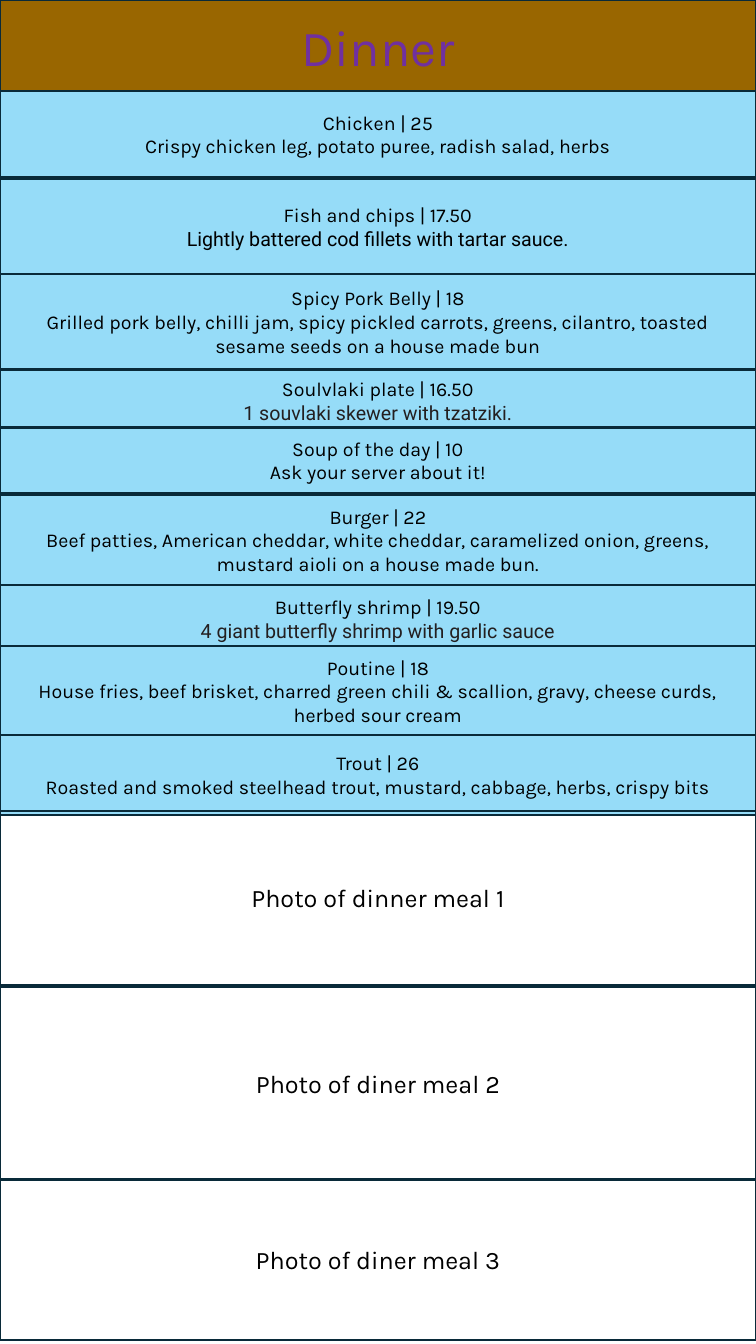
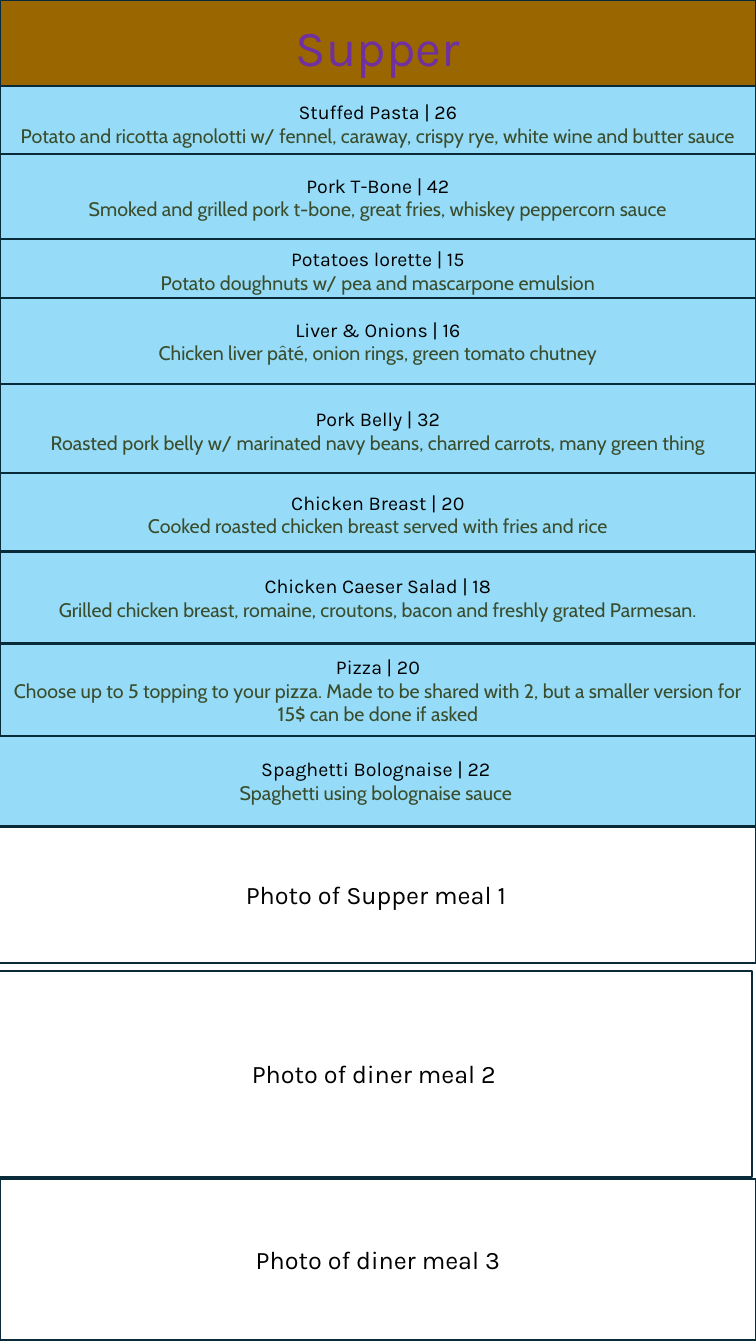
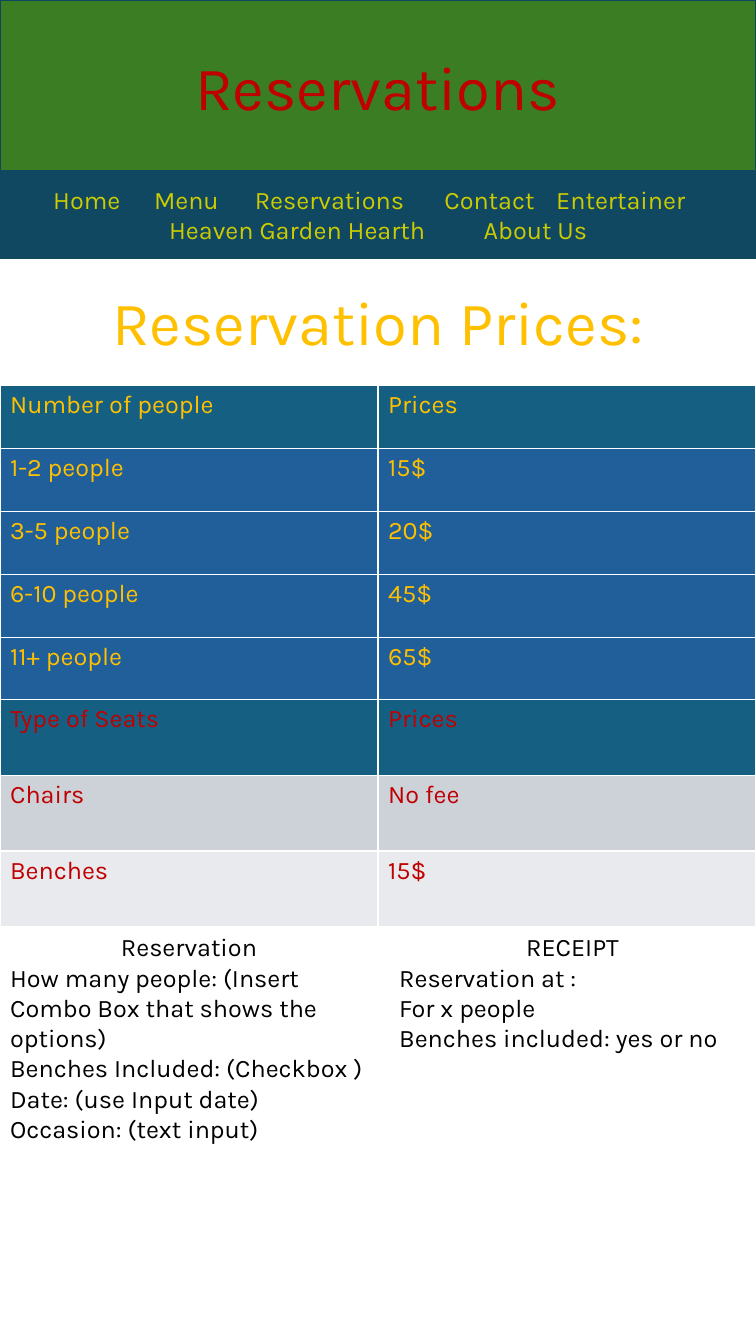
import collections

import pptx
import pptx.dml.color
import pptx.enum.shapes
import pptx.enum.text
import pptx.oxml
import pptx.oxml.ns
import pptx.util

Inches = pptx.util.Inches
ALIGN = pptx.enum.text.PP_ALIGN
ANCHOR = pptx.enum.text.MSO_ANCHOR

PAGE_WIDTH, PAGE_HEIGHT = 7.5, 13.33
TITLE_ONLY, TWO_CONTENT = 5, 3
BLACK, PURPLE, RED, GOLD, LIME = "000000", "7030A0", "C00000", "FFC000", "CCCC00"
BROWN, SKY, GREEN, NAVY = "996600", "96DCF8", "3B7D23", "104862"
MENU_LINE, HEADER_LINE = "092A39", "104760"
TABLE_HEAD, PRICE_FILL, CHAIR_FILL, BENCH_FILL = "156082", "215F9A", "CCD2D8", "E8EAED"

Box = collections.namedtuple("Box", "left top width height")

PLAIN = {}
ROBOTO = {"font": "Roboto"}
ROBOTO_GREY = {"font": "Roboto", "color": "231F20"}
CABIN = {"font": "Cabin", "color": "3A4D2D"}


def band(top, height, left=0, right=PAGE_WIDTH):
    """Box that spans the page unless its sides are given."""
    return Box(left, top, right - left, height)


DINNER_DISHES = [
    (band(0.9, 0.86), "Chicken | 25",
     "Crispy chicken leg, potato puree, radish salad, herbs", PLAIN),
    (band(1.78, 0.94), "Fish and chips | 17.50",
     "Lightly battered cod fillets with tartar sauce.", ROBOTO),
    (band(2.72, 0.94), "Spicy Pork Belly | 18",
     "Grilled pork belly, chilli jam, spicy pickled carrots, greens, cilantro, "
     "toasted sesame seeds on a house made bun", PLAIN),
    (band(3.67, 0.61), "Soulvlaki plate | 16.50",
     "1 souvlaki skewer with tzatziki.", ROBOTO_GREY),
    (band(4.24, 0.65), "Soup of the day | 10", "Ask your server about it!", PLAIN),
    (band(4.91, 0.89), "Burger | 22",
     "Beef patties, American cheddar, white cheddar, caramelized onion, greens, "
     "mustard aioli on a house made bun.", PLAIN),
    (band(5.8, 0.67), "Butterfly shrimp | 19.50",
     "4 giant butterfly shrimp with garlic sauce", ROBOTO_GREY),
    (band(6.41, 0.89), "Poutine | 18",
     "House fries, beef brisket, charred green chili & scallion, gravy, "
     "cheese curds, herbed sour cream", PLAIN),
    (band(7.29, 0.79), "Trout | 26",
     "Roasted and smoked steelhead trout, mustard, cabbage, herbs, crispy bits", PLAIN),
]
DINNER_PHOTOS = [
    (band(8.04, 1.73), "Photo of dinner meal 1"),
    (band(9.79, 1.91), "Photo of diner meal 2"),
    (band(11.69, 1.6), "Photo of diner meal 3"),
]
# Later bands lie on top of earlier ones where they overlap.
SUPPER_DISHES = [
    (band(0.85, 0.75), "Stuffed Pasta | 26",
     "Potato and ricotta agnolotti w/ fennel, caraway, crispy rye, "
     "white wine and butter sauce", CABIN),
    (band(1.53, 0.85), "Pork T-Bone | 42",
     "Smoked and grilled pork t-bone, great fries, whiskey peppercorn sauce", CABIN),
    (band(3.77, 1), "Pork Belly | 32",
     "Roasted pork belly w/ marinated navy beans, charred carrots, many green thing",
     CABIN),
    (band(2.37, 0.63), "Potatoes lorette | 15",
     "Potato doughnuts w/ pea and mascarpone emulsion", CABIN),
    (band(2.96, 0.85), "Liver & Onions | 16",
     "Chicken liver pâté, onion rings, green tomato chutney", CABIN),
    (band(4.69, 0.82), "Chicken Breast | 20",
     "Cooked roasted chicken breast served with fries and rice", CABIN),
    (band(7.29, 0.91, left=-0.04), "Spaghetti Bolognaise | 22",
     "Spaghetti using bolognaise sauce", CABIN),
    (band(6.39, 0.91), "Pizza | 20",
     "Choose up to 5 topping to your pizza. Made to be shared with 2, "
     "but a smaller version for 15$ can be done if asked", CABIN),
    (band(5.47, 0.91), "Chicken Caeser Salad | 18",
     "Grilled chicken breast, romaine, croutons, bacon and freshly grated Parmesan.",
     CABIN),
]
SUPPER_PHOTOS = [
    (band(8.19, 1.36, left=-0.04), "Photo of Supper meal 1"),
    (band(9.63, 2.04, left=-0.04, right=7.46), "Photo of diner meal 2"),
    (band(11.69, 1.6), "Photo of diner meal 3"),
]

# Each link stands at its own tab stop, in inches.
NAV_LINES = [
    [(0.43, "Home"), (1.43, "Menu"), (2.43, "Reservations"),
     (4.31, "Contact"), (5.42, "Entertainer")],
    [(1.58, "Heaven Garden Hearth"), (4.7, "About Us")],
]
PEOPLE_PRICES = [
    ("Number of people", "Prices"), ("1-2 people", "15$"), ("3-5 people", "20$"),
    ("6-10 people", "45$"), ("11+ people", "65$"),
]
SEAT_PRICES = [("Type of Seats", "Prices"), ("Chairs", "No fee"), ("Benches", "15$")]
FORM_LINES = [
    "How many people: (Insert Combo Box that shows the options)",
    "Benches Included: (Checkbox )", "Date: (use Input date)", "Occasion: (text input)",
]
RECEIPT_LINES = ["Reservation at :", "For x people", "Benches included: yes or no"]


def rgb(color):
    return pptx.dml.color.RGBColor.from_string(color)


def lengths(box):
    return [Inches(value) for value in box]


def move(shape, box):
    shape.left, shape.top, shape.width, shape.height = lengths(box)


def write(frame, text, size=18, font="Karla", color=BLACK, align=ALIGN.CENTER):
    """Fill the empty first paragraph of the frame, or add one after the last."""
    paragraph = frame.paragraphs[0]
    if paragraph.runs:
        paragraph = frame.add_paragraph()
    paragraph.alignment = align
    run = paragraph.add_run()
    run.text = text
    run.font.size = pptx.util.Pt(size)
    run.font.name = font
    run.font.bold = False
    run.font.color.rgb = rgb(color)
    return paragraph


def paint(shape, fill, line):
    if fill:
        shape.fill.solid()
        shape.fill.fore_color.rgb = rgb(fill)
    else:
        shape.fill.background()
    shape.line.color.rgb = rgb(line)
    shape.line.width = pptx.util.Pt(1.5)


def add_band(slide, box, fill, line):
    shape = slide.shapes.add_shape(
        pptx.enum.shapes.MSO_SHAPE.RECTANGLE, *lengths(box))
    shape.shadow.inherit = False
    paint(shape, fill, line)
    frame = shape.text_frame
    frame.word_wrap = True
    frame.vertical_anchor = ANCHOR.MIDDLE
    return frame


def set_title(slide, box, text, fill, line, **text_format):
    title = slide.shapes.title
    move(title, box)
    paint(title, fill, line)
    title.text_frame.auto_size = pptx.enum.text.MSO_AUTO_SIZE.NONE
    title.text_frame.vertical_anchor = ANCHOR.MIDDLE
    write(title.text_frame, text, **text_format)


def add_menu_slide(deck, meal, dishes, photos):
    slide = deck.slides.add_slide(deck.slide_layouts[TITLE_ONLY])
    set_title(slide, band(0, 0.92), meal, BROWN, MENU_LINE, size=36, color=PURPLE)
    for box, dish, description, description_format in dishes:
        frame = add_band(slide, box, SKY, MENU_LINE)
        write(frame, dish, size=14)
        write(frame, description, size=14, **description_format)
    for box, caption in photos:
        write(add_band(slide, box, None, MENU_LINE), caption)


def add_navigation(slide, box):
    frame = add_band(slide, box, NAVY, HEADER_LINE)
    for links in NAV_LINES:
        text = "".join("\t" + label for _, label in links)
        paragraph = write(frame, text, color=LIME, align=ALIGN.LEFT)
        properties = paragraph._p.get_or_add_pPr()
        stops = properties.makeelement(pptx.oxml.ns.qn("a:tabLst"), {})
        properties.append(stops)
        for position, _ in links:
            stops.append(stops.makeelement(
                pptx.oxml.ns.qn("a:tab"), {"pos": str(Inches(position)), "algn": "l"}))


def add_prices(slide, box, prices, fills, color):
    table = slide.shapes.add_table(len(prices), 2, *lengths(box)).table
    for row, texts, fill in zip(table.rows, prices, fills):
        for cell, text in zip(row.cells, texts):
            cell.fill.solid()
            cell.fill.fore_color.rgb = rgb(fill)
            write(cell.text_frame, text, color=color, align=ALIGN.LEFT)


def fill_list(body, box, heading, lines):
    move(body, box)
    frame = body.text_frame
    frame.auto_size = pptx.enum.text.MSO_AUTO_SIZE.NONE
    write(frame, heading)
    for line in lines:
        write(frame, line, align=ALIGN.LEFT)
    for paragraph in frame.paragraphs:
        paragraph.space_before = pptx.util.Pt(0)
        properties = paragraph._p.get_or_add_pPr()
        properties.set("marL", "0")
        properties.set("indent", "0")
        properties.append(properties.makeelement(pptx.oxml.ns.qn("a:buNone"), {}))


def add_reservation_slide(deck):
    slide = deck.slides.add_slide(deck.slide_layouts[TWO_CONTENT])
    set_title(slide, band(0, 1.7), "Reservations", GREEN, HEADER_LINE,
              size=44, color=RED)
    add_navigation(slide, band(1.7, 0.86))

    heading = slide.shapes.add_textbox(*lengths(Box(0.97, 2.77, 5.57, 0.84)))
    heading.text_frame.word_wrap = True
    write(heading.text_frame, "Reservation Prices:", size=44, color=GOLD)

    add_prices(slide, band(3.82, 3.13), PEOPLE_PRICES,
               [TABLE_HEAD] + [PRICE_FILL] * 4, GOLD)
    add_prices(slide, band(6.94, 2.25), SEAT_PRICES,
               [TABLE_HEAD, CHAIR_FILL, BENCH_FILL], RED)

    fill_list(slide.placeholders[1], Box(0, 9.19, 3.75, 2.83), "Reservation", FORM_LINES)
    fill_list(slide.placeholders[2], Box(3.86, 9.19, 3.64, 1.62), "RECEIPT", RECEIPT_LINES)


def main():
    deck = pptx.Presentation()
    deck.slide_width = Inches(PAGE_WIDTH)
    deck.slide_height = Inches(PAGE_HEIGHT)
    add_menu_slide(deck, "Dinner", DINNER_DISHES, DINNER_PHOTOS)
    add_menu_slide(deck, "Supper", SUPPER_DISHES, SUPPER_PHOTOS)
    add_reservation_slide(deck)
    deck.save("out.pptx")


if __name__ == "__main__":
    main()
